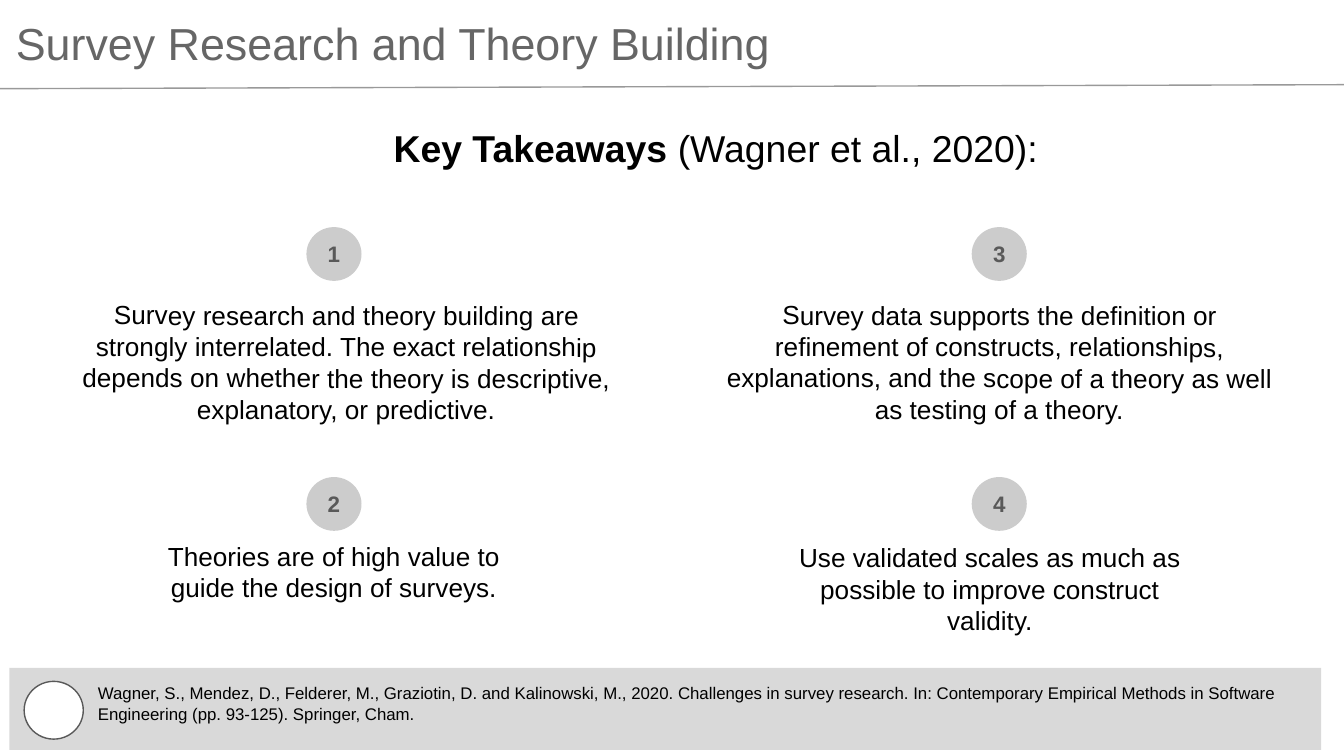
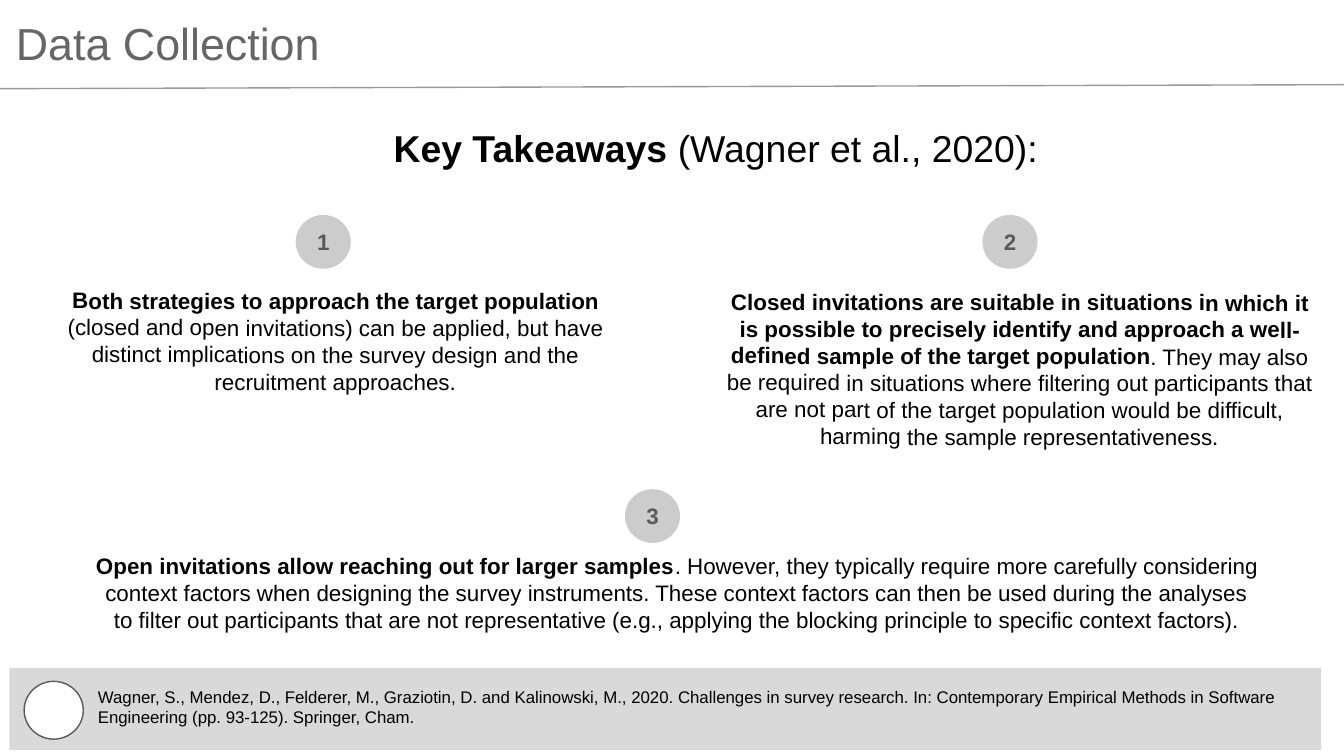
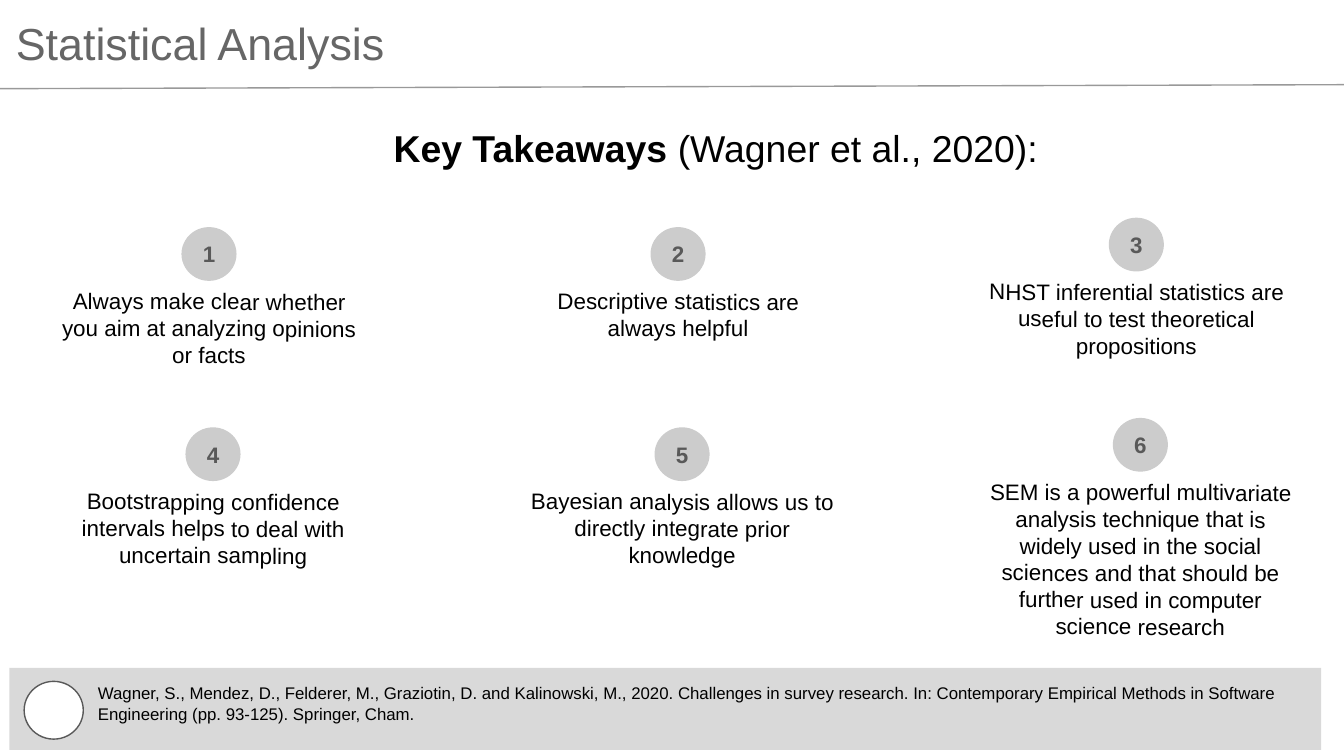
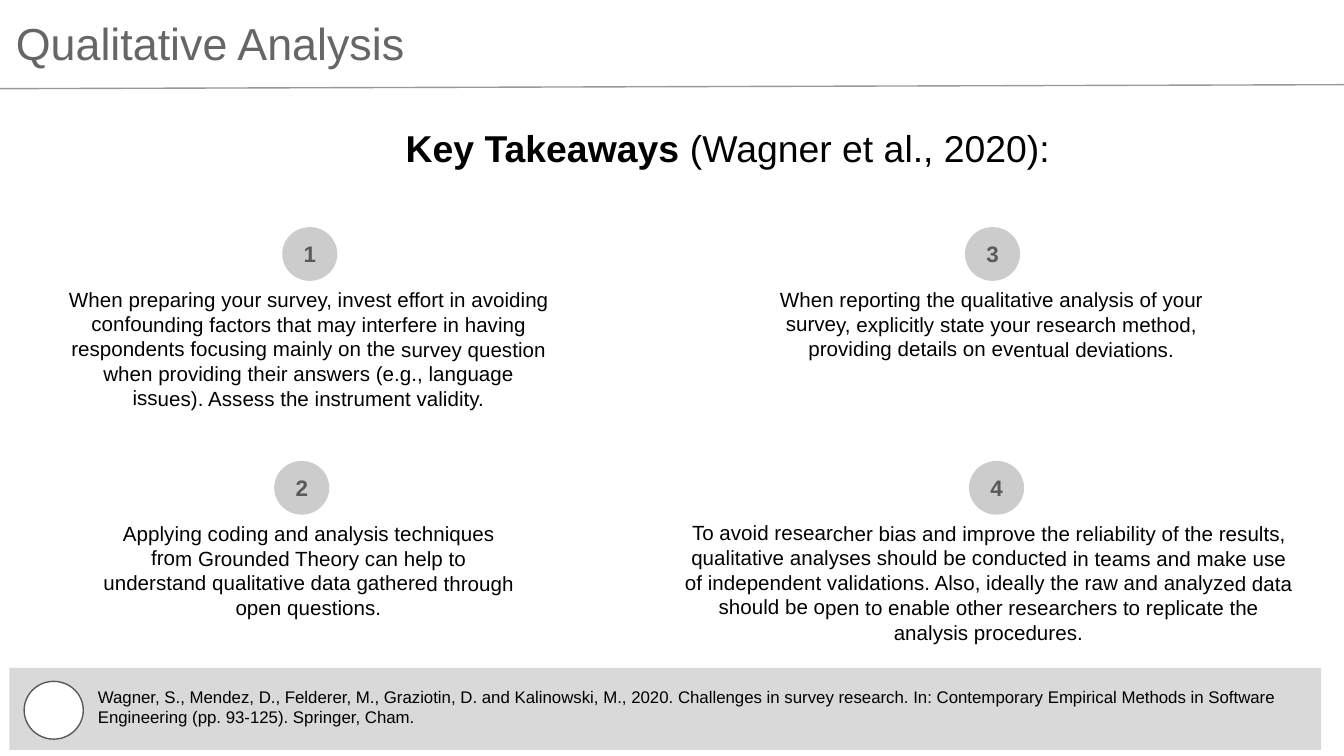
"""Builds four key-takeaway slides on survey research."""
from dataclasses import dataclass

from lxml import etree
from pptx import Presentation
from pptx.dml.color import RGBColor
from pptx.enum.shapes import MSO_CONNECTOR, MSO_SHAPE
from pptx.enum.text import MSO_ANCHOR, MSO_AUTO_SIZE, PP_ALIGN
from pptx.oxml.ns import qn
from pptx.util import Inches, Pt

STRAIGHT = MSO_CONNECTOR.STRAIGHT
RECTANGLE, OVAL = MSO_SHAPE.RECTANGLE, MSO_SHAPE.OVAL
LEFT, CENTER = PP_ALIGN.LEFT, PP_ALIGN.CENTER
TOP, MIDDLE = MSO_ANCHOR.TOP, MSO_ANCHOR.MIDDLE
GROW = MSO_AUTO_SIZE.SHAPE_TO_FIT_TEXT


@dataclass(frozen=True)
class Theme:
    font: str = "Arial"
    title: str = "666666"
    rule: str = "999999"
    band: str = "D9D9D9"
    marker: str = "CCCCCC"
    outline: str = "595959"
    text: str = "000000"
    paper: str = "FFFFFF"
    title_size: int = 24
    heading_size: int = 20
    marker_size: int = 12
    citation_size: int = 9
    line_width: float = 0.75
    loose_spacing: float = 1.05
    tilt: float = 0.2


THEME = Theme()
WIDTH = 10
HEIGHT = WIDTH * 9 / 16
MARKER_WIDTH, MARKER_HEIGHT = 0.41, 0.4
TITLE_BOX = (0.02, 0.02, 9.87, 0.61)
RULE = (-0.01, 0.66, 10.02, 0.63)
BAND = (0.07, 4.97, 9.76, 0.61)
BADGE = (0.18, 5.07, 0.44, 0.43)
HEADING = (("Key Takeaways ", True), ("(Wagner et al., 2020):", False))
CITATION = (
    "Wagner, S., Mendez, D., Felderer, M., Graziotin, D. and Kalinowski, M., 2020. "
    "Challenges in survey research. In: Contemporary Empirical Methods in Software "
    "Engineering (pp. 93-125). Springer, Cham."
)

ANALYSIS_COLUMNS = ((0.31, 2.09), (3.8, 2.09), (7.21, 2.02))
ANALYSIS_ROW_STEP = (0.03, 1.49)
ANALYSIS_TEXTS = (
    "Always make clear whether you aim at analyzing opinions or facts",
    "Descriptive statistics are always helpful",
    "NHST inferential statistics are useful to test theoretical propositions",
    "Bootstrapping confidence intervals helps to deal with uncertain sampling",
    "Bayesian analysis allows us to directly integrate prior knowledge",
    "SEM is a powerful multivariate analysis technique that is widely used in the social "
    "sciences and that should be further used in computer science research",
)
ANALYSIS_HEIGHTS = (0.91, 0.71, 0.91, 0.91, 0.91, 1.52)


def analysis_takeaways():
    """Place the statistical takeaways on a grid of three columns."""
    takeaways = []
    for index, (text, height) in enumerate(zip(ANALYSIS_TEXTS, ANALYSIS_HEIGHTS)):
        row, column = divmod(index, len(ANALYSIS_COLUMNS))
        left, top = ANALYSIS_COLUMNS[column]
        step_x, step_y = ANALYSIS_ROW_STEP
        takeaways.append({"text": text, "box": (left + row * step_x, top + row * step_y, 2.49, height)})
    return takeaways


SLIDES = (
    {
        "title": "Survey Research and Theory Building", "size": 14,
        "heading_left": 2.83, "citation_top": 5.02, "citation_spacing": THEME.loose_spacing,
        "takeaways": (
            {"text": "Survey research and theory building are strongly interrelated. The exact "
                     "relationship depends on whether the theory is descriptive, explanatory, or predictive.",
             "box": (0.39, 2.18, 4.37, 1.28), "marker": (2.28, 1.69)},
            {"text": "Theories are of high value to guide the design of surveys.",
             "box": (0.97, 3.97, 3.03, 0.57), "marker": (2.28, 3.55), "tilt": 0},
            {"text": "Survey data supports the definition or refinement of constructs, relationships, "
                     "explanations, and the scope of a theory as well as testing of a theory.",
             "box": (5.25, 2.18, 4.37, 1.04), "marker": (7.23, 1.69)},
            {"text": "Use validated scales as much as possible to improve construct validity.",
             "box": (5.69, 3.98, 3.35, 0.81), "marker": (7.23, 3.55), "tilt": 0},
        ),
    },
    {
        "title": "Data Collection", "size": 12,
        "heading_left": 2.83, "citation_top": 5.06,
        "takeaways": (
            {"text": (("Both strategies to approach the target population ", True),
                      ("(closed and open invitations) can be applied, but have distinct implications "
                       "on the survey design and the recruitment approaches.", False)),
             "box": (0.31, 2.09, 4.37, 1.11), "marker": (2.2, 1.6)},
            {"text": (("Closed invitations are suitable in situations in which it is possible to "
                       "precisely identify and approach a well-defined sample of the target population", True),
                      (". They may also be required in situations where filtering out participants that "
                       "are not part of the target population would be difficult, harming the sample "
                       "representativeness.", False)),
             "box": (5.25, 2.1, 4.67, 1.72), "marker": (7.31, 1.6)},
            {"text": (("Open invitations allow reaching out for larger samples", True),
                      (". However, they typically require more carefully considering context factors when "
                       "designing the survey instruments. These context factors can then be used during the "
                       "analyses to filter out participants that are not representative (e.g., applying the "
                       "blocking principle to specific context factors).", False)),
             "box": (0.61, 4.06, 8.86, 0.91), "marker": (4.65, 3.64), "tilt": 0},
        ),
    },
    {
        "title": "Statistical Analysis", "size": 12,
        "heading_left": 2.83, "citation_top": 5.02, "citation_spacing": THEME.loose_spacing,
        "takeaways": analysis_takeaways(),
    },
    {
        "title": "Qualitative Analysis", "size": 11,
        "heading_left": 2.92, "citation_top": 5.06,
        "takeaways": (
            {"text": "When preparing your survey, invest effort in avoiding confounding factors that may "
                     "interfere in having respondents focusing mainly on the survey question when providing "
                     "their answers (e.g., language issues). Assess the instrument validity.",
             "box": (0.39, 2.09, 3.81, 1.03), "marker": (2.1, 1.69)},
            {"text": "Applying coding and analysis techniques from Grounded Theory can help to understand "
                     "qualitative data gathered through open questions.",
             "box": (0.67, 3.83, 3.25, 0.84), "marker": (2.04, 3.43)},
            {"text": "When reporting the qualitative analysis of your survey, explicitly state your research "
                     "method, providing details on eventual deviations.",
             "box": (5.47, 2.09, 3.81, 0.66), "marker": (7.18, 1.69)},
            {"text": "To avoid researcher bias and improve the reliability of the results, qualitative analyses "
                     "should be conducted in teams and make use of independent validations. Also, ideally the "
                     "raw and analyzed data should be open to enable other researchers to replicate the "
                     "analysis procedures.",
             "box": (4.96, 3.83, 4.79, 1.03), "marker": (7.21, 3.43)},
        ),
    },
)


def color(name):
    return RGBColor.from_string(name)


def write(shape, text, size, ink=THEME.text, align=LEFT, anchor=TOP, bold=False, inset=0.05, spacing=None):
    """Fill a shape with a string or with (text, bold) runs."""
    frame = shape.text_frame
    frame.word_wrap = True
    frame.vertical_anchor = anchor
    frame.margin_left = frame.margin_right = Inches(0.1)
    frame.margin_top = frame.margin_bottom = Inches(inset)
    paragraph = frame.paragraphs[0]
    paragraph.alignment = align
    if spacing:
        paragraph.line_spacing = spacing
    for words, heavy in ((text, bold),) if isinstance(text, str) else text:
        run = paragraph.add_run()
        run.text = words
        run.font.name = THEME.font
        run.font.size = Pt(size)
        run.font.bold = heavy
        run.font.color.rgb = color(ink)


def add_text(slide, box, text, size, grow=True, tilt=0, **style):
    shape = slide.shapes.add_textbox(*map(Inches, box))
    write(shape, text, size, **style)
    if grow:
        shape.text_frame.auto_size = GROW
    shape.rotation = tilt


def add_filled(slide, kind, box, fill, line=None):
    shape = slide.shapes.add_shape(kind, *map(Inches, box))
    shape.shadow.inherit = False
    shape.fill.solid()
    shape.fill.fore_color.rgb = color(fill)
    if line:
        shape.line.color.rgb = color(line)
        shape.line.width = Pt(THEME.line_width)
    else:
        shape.line.fill.background()
    return shape


def add_frame(slide, content):
    """Draw the title, rule, citation band and heading."""
    add_text(slide, TITLE_BOX, content["title"], THEME.title_size, ink=THEME.title, inset=0.1)
    rule = slide.shapes.add_connector(STRAIGHT, *map(Inches, RULE))
    rule.line.color.rgb = color(THEME.rule)
    rule.line.width = Pt(THEME.line_width)
    etree.SubElement(rule._element.spPr, qn("a:effectLst"))
    add_filled(slide, RECTANGLE, BAND, THEME.band)
    add_text(slide, (0.63, content["citation_top"], 9.1, 0.43), CITATION, THEME.citation_size,
             grow=False, spacing=content.get("citation_spacing"))
    add_filled(slide, OVAL, BADGE, THEME.paper, THEME.outline)
    add_text(slide, (content["heading_left"], 0.83, 5.51, 0.88), HEADING, THEME.heading_size, inset=0.1)


def add_takeaway(slide, number, takeaway, size):
    """Draw one text with its numbered marker, centred above unless placed."""
    left, top, width, _ = takeaway["box"]
    add_text(slide, takeaway["box"], takeaway["text"], size, align=CENTER,
             tilt=takeaway.get("tilt", THEME.tilt))
    centred = (left + (width - MARKER_WIDTH) / 2, top - MARKER_HEIGHT)
    place = takeaway.get("marker", centred)
    marker = add_filled(slide, OVAL, (*place, MARKER_WIDTH, MARKER_HEIGHT), THEME.marker)
    write(marker, str(number), THEME.marker_size, ink=THEME.outline, align=CENTER, anchor=MIDDLE, bold=True)


def main():
    presentation = Presentation()
    presentation.slide_width, presentation.slide_height = Inches(WIDTH), Inches(HEIGHT)
    for content in SLIDES:
        slide = presentation.slides.add_slide(presentation.slide_layouts[6])
        add_frame(slide, content)
        for number, takeaway in enumerate(content["takeaways"], 1):
            add_takeaway(slide, number, takeaway, content["size"])
    presentation.save("out.pptx")


if __name__ == "__main__":
    main()
